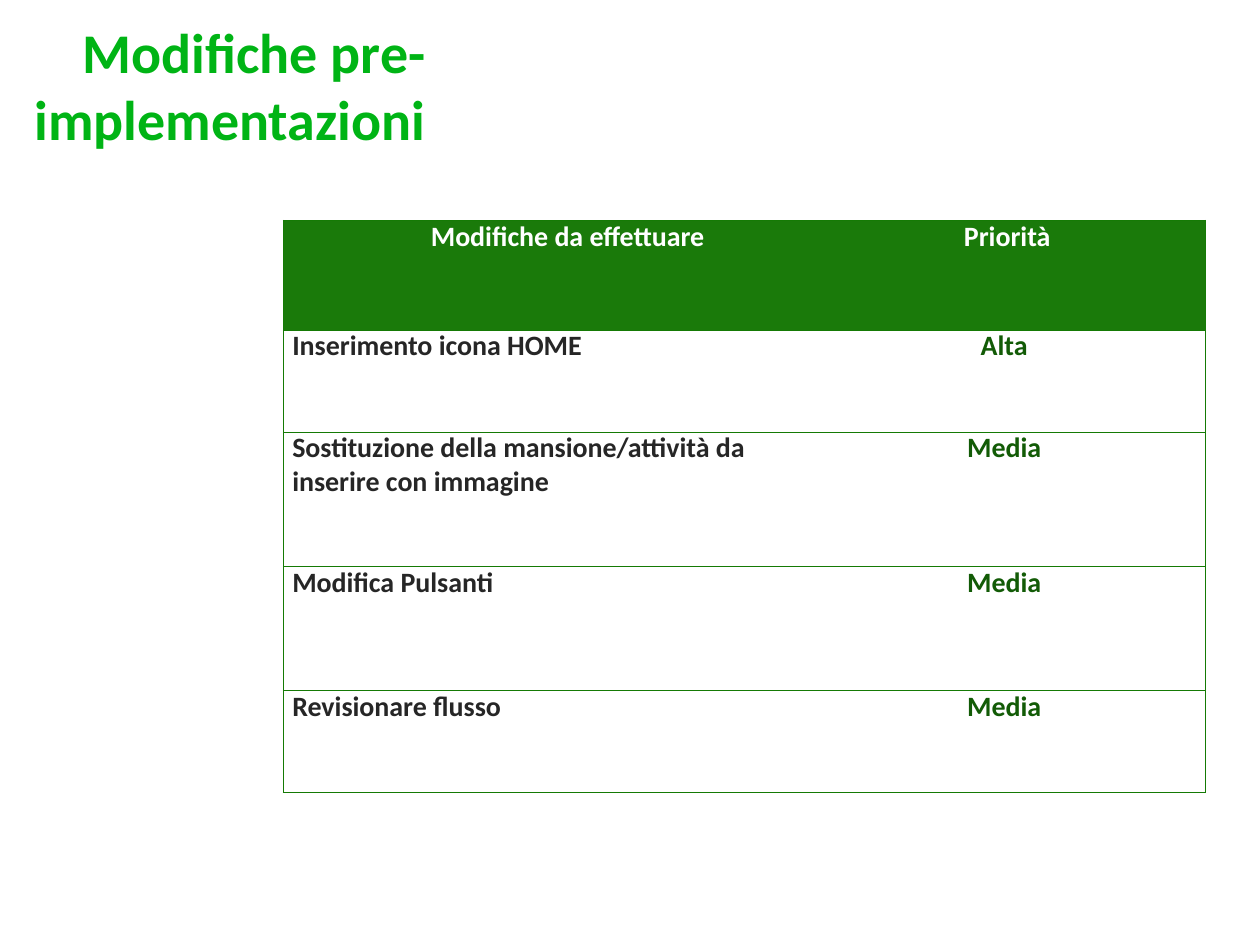
from lxml.etree import SubElement
from pptx import Presentation
from pptx.dml.color import RGBColor
from pptx.enum.text import MSO_ANCHOR, PP_ALIGN
from pptx.oxml.ns import qn
from pptx.util import Inches, Pt

FONT = "Calibri"
TITLE_GREEN = RGBColor(0x00, 0xB4, 0x15)
HEADER_GREEN = RGBColor(0x1A, 0x7A, 0x0A)
BORDER_GREEN = RGBColor(0x15, 0x7A, 0x05)
PRIORITY_GREEN = RGBColor(0x12, 0x5B, 0x06)
DARK_GREY = RGBColor(0x26, 0x26, 0x26)
WHITE = RGBColor(0xFF, 0xFF, 0xFF)

ROWS = [
    ("Modifiche da effettuare", "Priorità"),
    ("Inserimento icona HOME", "Alta "),
    ("Sostituzione della mansione/attività da\ninserire con immagine", "Media "),
    ("Modifica Pulsanti", "Media "),
    ("Revisionare flusso", "Media "),
]
COLUMN_WIDTHS = [4.17, 3.15]
ROW_HEIGHTS = [0.87, 0.81, 1.07, 0.98, 0.81]


def format_runs(paragraph, size, color):
    for span in paragraph.runs:
        span.font.name = FONT
        span.font.size = Pt(size)
        span.font.bold = True
        span.font.color.rgb = color


def set_borders(cell, hidden_side):
    """Draw thin green borders on every side but the hidden one."""
    properties = cell._tc.get_or_add_tcPr()
    for side in ("lnL", "lnR", "lnT", "lnB"):
        line = SubElement(properties, qn(f"a:{side}"), w=str(Pt(0.75)))
        if side == hidden_side:
            SubElement(line, qn("a:noFill"))
        else:
            fill = SubElement(line, qn("a:solidFill"))
            SubElement(fill, qn("a:srgbClr"), val=str(BORDER_GREEN))


deck = Presentation()
deck.slide_width = Inches(10)
deck.slide_height = Inches(7.5)
page = deck.slides.add_slide(deck.slide_layouts[5])

title = page.shapes.title
title.left, title.top = Inches(-1.08), Inches(0.12)
title.width, title.height = Inches(4.46), Inches(1.09)
frame = title.text_frame
frame.text = "Modifiche pre-implementazioni"
frame.word_wrap = True
frame.vertical_anchor = MSO_ANCHOR.MIDDLE
frame.margin_left = frame.margin_right = frame.margin_bottom = 0
frame.margin_top = Inches(0.01)
frame.paragraphs[0].alignment = PP_ALIGN.RIGHT
format_runs(frame.paragraphs[0], 32, TITLE_GREEN)

table = page.shapes.add_table(
    len(ROWS), len(COLUMN_WIDTHS), Inches(2.25), Inches(1.75),
    Inches(sum(COLUMN_WIDTHS)), Inches(sum(ROW_HEIGHTS))).table
table.horz_banding = False
for column, width in zip(table.columns, COLUMN_WIDTHS):
    column.width = Inches(width)

for row_index, (texts, height) in enumerate(zip(ROWS, ROW_HEIGHTS)):
    table.rows[row_index].height = Inches(height)
    is_header = row_index == 0
    for column_index, text in enumerate(texts):
        is_priority = column_index == 1
        cell = table.cell(row_index, column_index)
        cell.margin_left = cell.margin_right = 0
        cell.margin_top = cell.margin_bottom = 0
        if not is_priority:
            cell.margin_left = Inches(1.17 if is_header else 0.07)
        set_borders(cell, "lnL" if is_priority else "lnR")
        if is_header:
            cell.fill.solid()
            cell.fill.fore_color.rgb = HEADER_GREEN
            color = WHITE
        else:
            cell.fill.background()
            color = PRIORITY_GREEN if is_priority else DARK_GREY
        cell.text_frame.text = text
        for para in cell.text_frame.paragraphs:
            para.alignment = PP_ALIGN.CENTER if is_priority else PP_ALIGN.LEFT
            para.line_spacing = Pt(19)
            format_runs(para, 16, color)

deck.save("out.pptx")
